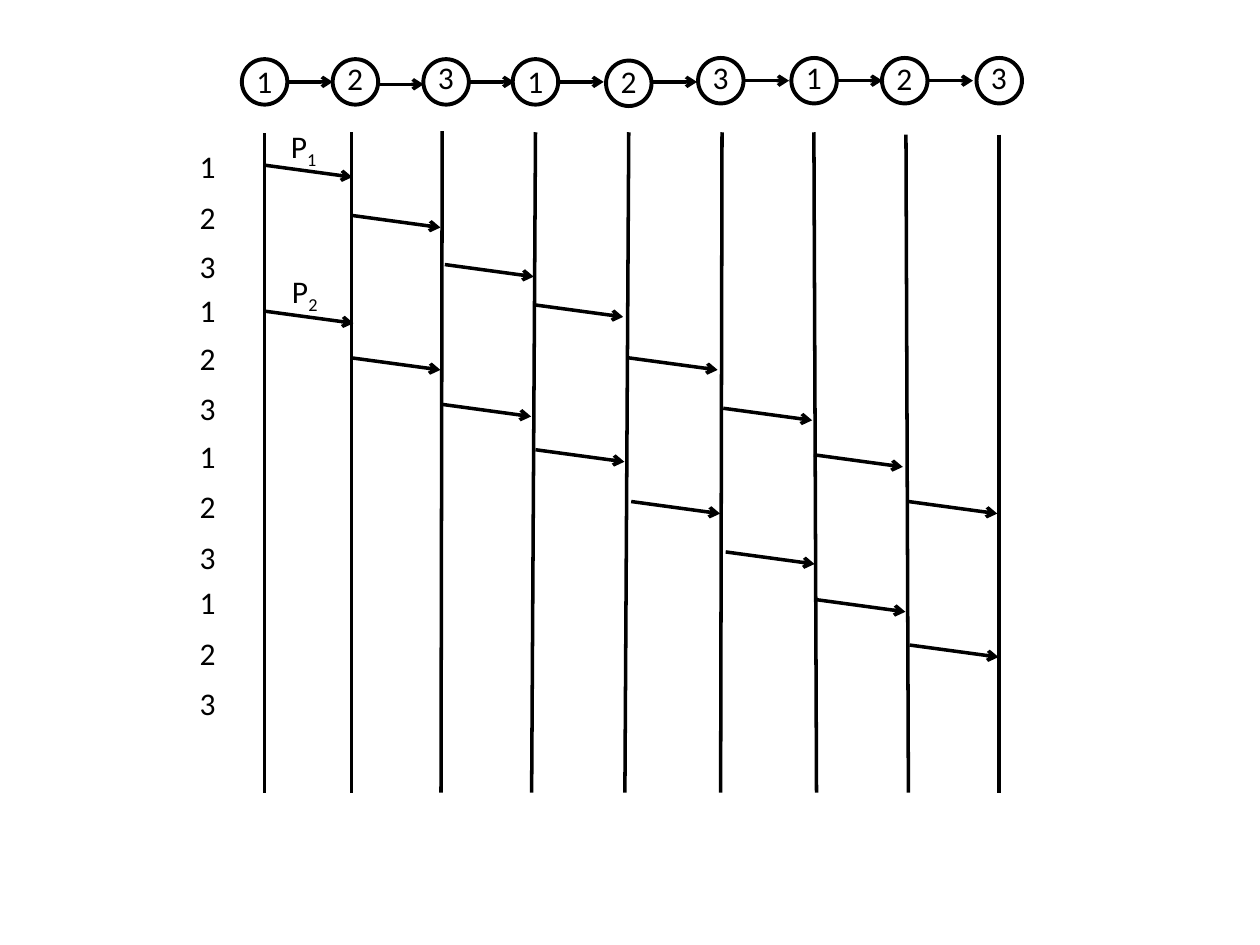
import pptx
import pptx.util
import pptx.dml.color
import pptx.enum.shapes
import pptx.enum.text
import pptx.oxml
import pptx.oxml.ns
import lxml.etree

Pt = pptx.util.Pt
BLACK = pptx.dml.color.RGBColor(0, 0, 0)
WHITE = pptx.dml.color.RGBColor(255, 255, 255)
NODE_SIZE = 26
LABEL_HEIGHT = 29

deck = pptx.Presentation()
deck.slide_width, deck.slide_height = Pt(720), Pt(540)
slide = deck.slides.add_slide(deck.slide_layouts[6])


def add_label(shapes, left, top, width, text, subscript=""):
    label = shapes.add_textbox(Pt(left), Pt(top), Pt(width), Pt(LABEL_HEIGHT))
    label.text_frame.word_wrap = False
    label.text_frame.auto_size = pptx.enum.text.MSO_AUTO_SIZE.SHAPE_TO_FIT_TEXT
    paragraph = label.text_frame.paragraphs[0]
    for part in filter(None, (text, subscript)):
        run = paragraph.add_run()
        run.text = part
        run.font.name = "Calibri"
        run.font.size = Pt(18)
        run.font.color.rgb = BLACK
    if subscript:
        run.font._element.set("baseline", "-25000")


def add_line(x1, y1, x2, y2, arrow=False):
    line = slide.shapes.add_connector(
        pptx.enum.shapes.MSO_CONNECTOR.STRAIGHT, Pt(x1), Pt(y1), Pt(x2), Pt(y2))
    line.line.color.rgb = BLACK
    line.line.width = Pt(2)
    if arrow:
        lxml.etree.SubElement(line.line._get_or_add_ln(),
                              pptx.oxml.ns.qn("a:tailEnd"), type="arrow")
    lxml.etree.SubElement(line._element.spPr, pptx.oxml.ns.qn("a:effectLst"))


node_lefts = [138.2, 190.1, 241.9, 293, 346.3, 398.9, 452.2, 504, 558]
node_tops = [33.8, 33.8, 33.8, 33.8, 34.6, 33.1, 33.1, 33.1, 33.1]
number_tops = [31.7, 30.2, 29.5, 31.7, 31.7, 29.5, 29.5, 30.2, 29.5]
for index, (left, top, number_top) in enumerate(zip(node_lefts, node_tops, number_tops)):
    node = slide.shapes.add_group_shape()
    circle = node.shapes.add_shape(pptx.enum.shapes.MSO_SHAPE.OVAL,
                                   Pt(left), Pt(top), Pt(NODE_SIZE), Pt(NODE_SIZE))
    circle.shadow.inherit = False
    circle.fill.solid()
    circle.fill.fore_color.rgb = WHITE
    circle.line.color.rgb = BLACK
    circle.line.width = Pt(2.25)
    add_label(node.shapes, left + 1.2, number_top, 24, str(index % 3 + 1))

link_heights = [46.8, 48.2, 46.8, 46.8, 46.8, 46.1, 46.1, 46.1]
for left, y in zip(node_lefts, link_heights):
    add_line(left + NODE_SIZE, y, left + 2 * NODE_SIZE, y, arrow=True)

lifelines = [
    (151.2, 76.3, 151.2), (200.9, 75.6, 200.9), (252.7, 74.9, 252),
    (306, 75.6, 303.8), (359.3, 75.6, 357.1), (412.6, 75.6, 411.8),
    (465.1, 75.6, 466.6), (517.7, 77, 519.1), (571, 77, 571),
]
for top_x, top_y, bottom_x in lifelines:
    add_line(top_x, top_y, bottom_x, 453)

slot_tops = [80.6, 109.4, 137.5, 162.7, 190.1, 218.9,
             246.2, 275, 303.8, 329.8, 358.6, 387.4]
for index, top in enumerate(slot_tops):
    add_label(slide.shapes, 107, top, 24, str(index % 3 + 1))

packets = [
    ("1", 159.1, 69.1, [(150.5, 94.3), (200.9, 123.1), (254.2, 151.2), (305.3, 174.2),
                        (359.3, 204.5), (413.3, 233.3), (465.1, 259.9), (519.1, 286.6)]),
    ("2", 159.8, 151.9, [(151.2, 177.8), (200.9, 204.5), (252.7, 231.1), (306, 257),
                         (360.7, 286.6), (414.7, 315.4), (466.6, 342.7), (519.8, 368.6)]),
]
for number, left, top, hops in packets:
    add_label(slide.shapes, left, top, 30, "P", number)
    for x, y in hops:
        add_line(x, y, x + 50.8, y + 6.9, arrow=True)

deck.save("out.pptx")
